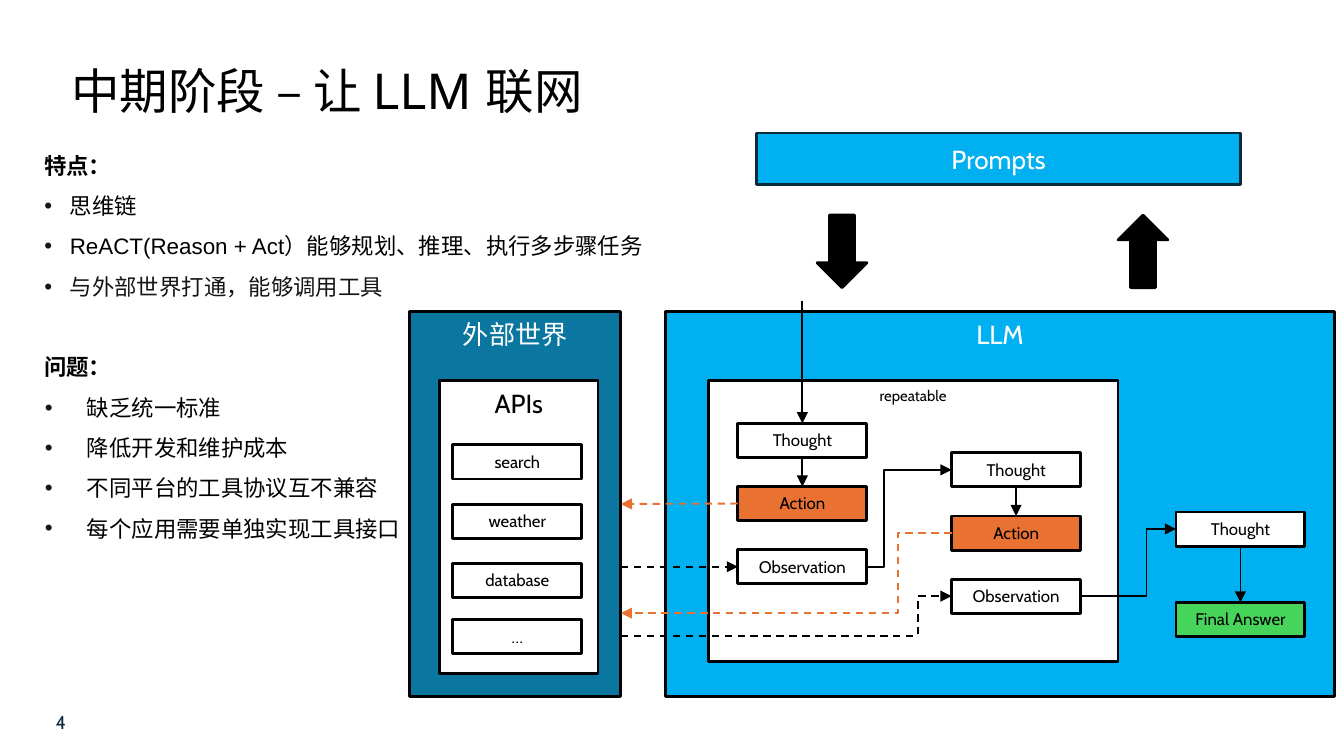
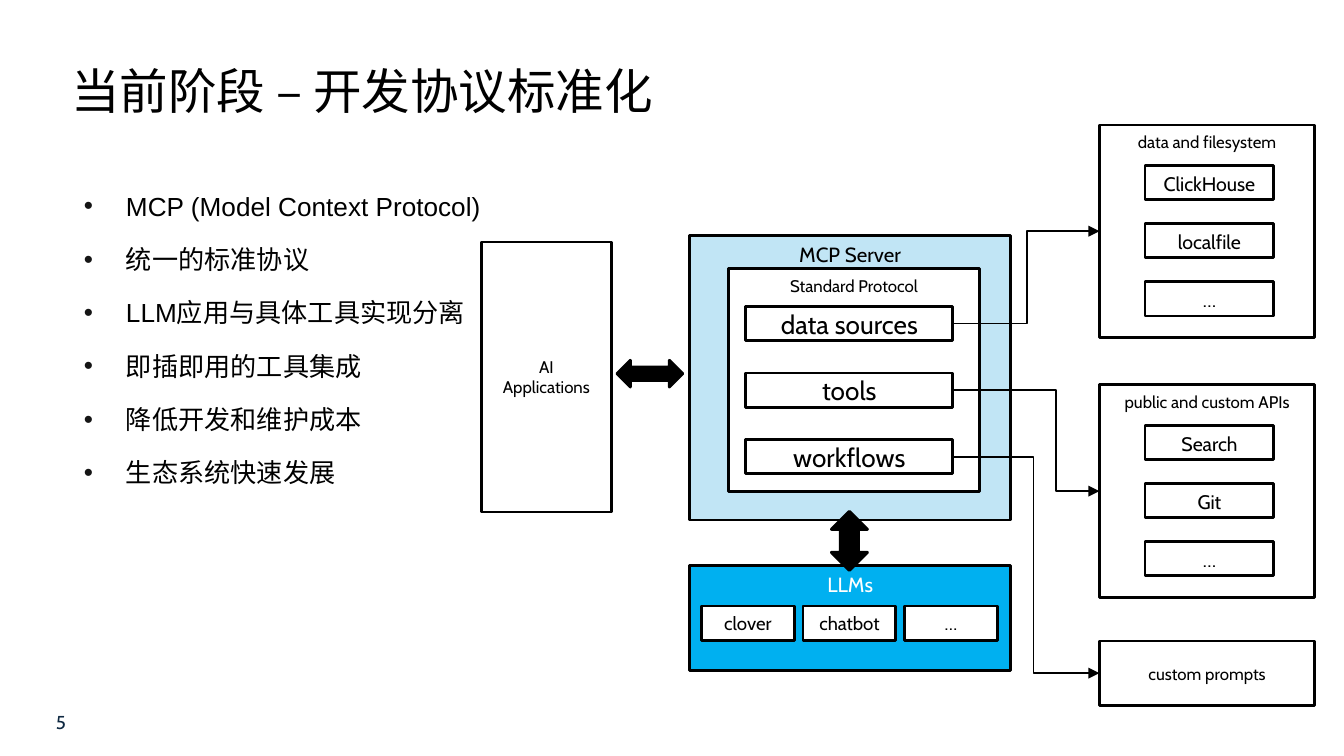
from dataclasses import dataclass
from typing import Any, NamedTuple

from lxml import etree
from pptx import Presentation
from pptx.dml.color import RGBColor
from pptx.enum.dml import MSO_LINE
from pptx.enum.shapes import MSO_CONNECTOR, MSO_SHAPE
from pptx.enum.text import MSO_ANCHOR, MSO_AUTO_SIZE, PP_ALIGN
from pptx.oxml.ns import qn
from pptx.util import Pt

RECT = MSO_SHAPE.RECTANGLE
DOWN = MSO_SHAPE.DOWN_ARROW
BOTH = MSO_SHAPE.LEFT_RIGHT_ARROW
STRAIGHT, ELBOW = MSO_CONNECTOR.STRAIGHT, MSO_CONNECTOR.ELBOW
DASH = MSO_LINE.DASH
HIGH, MID = MSO_ANCHOR.TOP, MSO_ANCHOR.MIDDLE
LEFT, CENTER, RIGHT = PP_ALIGN.LEFT, PP_ALIGN.CENTER, PP_ALIGN.RIGHT
FIXED = MSO_AUTO_SIZE.NONE

BLACK, WHITE, INK = "000000", "FFFFFF", "151515"
SKY, TEAL, PALE = "00B0F0", "0B76A0", "C1E5F5"
ORANGE, GREEN, NAVY, EDGE = "E97132", "47D45A", "0E2841", "092A39"
HEAD, BODY, LABEL = "Inter", "Arial", "Cabin"
TOP, WEST, BASE, EAST = range(4)
CELL_W, CELL_H = 69.1, 18.3


@dataclass
class Box:
    x: float
    y: float
    w: float
    h: float
    text: str = ""
    size: float = 9
    fill: str = WHITE
    ink: str = BLACK
    edge: str = BLACK
    anchor: Any = HIGH
    kind: Any = RECT
    turn: float = 0


@dataclass
class Item:
    text: str
    left: float = 0
    hang: float = 0
    bold: bool = False
    ink: str = BLACK
    gap: float = 0


class Pin(NamedTuple):
    shape: Any
    side: int


class Spot(NamedTuple):
    x: float
    y: float


@dataclass
class Wire:
    start: Pin | Spot
    stop: Pin | Spot
    bend: float | None = None
    ink: str = BLACK
    dash: bool = False


def hue(code: str) -> RGBColor:
    return RGBColor.from_string(code)


def style(para: Any, size: float, face: str, ink: str, bold: bool = False) -> None:
    font = para.font
    font.size, font.name, font.bold = Pt(size), face, bold
    font.color.rgb = hue(ink)


def place(shape: Any, x: float, y: float, w: float, h: float, inset: float) -> Any:
    """Moves a text shape and returns its text frame."""
    shape.left, shape.top, shape.width, shape.height = map(Pt, (x, y, w, h))
    frame = shape.text_frame
    frame.word_wrap, frame.auto_size = True, FIXED
    frame.vertical_anchor = HIGH
    frame.margin_left = frame.margin_right = Pt(7.2)
    frame.margin_top = frame.margin_bottom = Pt(inset)
    return frame


def indent(para: Any, left: float, hang: float) -> None:
    props = para._p.get_or_add_pPr()
    props.set("marL", str(Pt(left)))
    props.set("indent", str(-Pt(hang)))
    if hang:
        tint = etree.SubElement(props, qn("a:buClr"))
        etree.SubElement(tint, qn("a:srgbClr"), val=INK)
        etree.SubElement(props, qn("a:buFont"), typeface=BODY)
        etree.SubElement(props, qn("a:buChar"), char="•")
    else:
        etree.SubElement(props, qn("a:buNone"))


def page(deck: Any, title: str, number: int) -> Any:
    """Adds a slide with its title and page number."""
    slide = deck.slides.add_slide(deck.slide_layouts[1])
    frame = place(slide.shapes.title, 24.5, 28.8, 671, 45.4, 7.2)
    frame.text = title
    para = frame.paragraphs[0]
    indent(para, 6.5, 0)
    para.alignment, para.line_spacing = LEFT, 0.9
    style(para, 26, HEAD, BLACK)
    note = slide.shapes.add_textbox(0, 0, 0, 0)
    frame = place(note, -0.7, 373.7, 43.2, 25.9, 7.2)
    frame.text = str(number)
    frame.paragraphs[0].alignment = RIGHT
    style(frame.paragraphs[0], 10, LABEL, NAVY)
    return slide


def fill_list(frame: Any, items: list[Item], size: float, pitch: float) -> None:
    frame.text = "\n".join(item.text for item in items)
    for para, item in zip(frame.paragraphs, items):
        indent(para, item.left, item.hang)
        para.alignment, para.line_spacing = LEFT, pitch
        para.space_before, para.space_after = Pt(item.gap), Pt(0)
        style(para, size, BODY, item.ink, item.bold)


def draw(slide: Any, box: Box) -> Any:
    shape = slide.shapes.add_shape(box.kind, *map(Pt, (box.x, box.y, box.w, box.h)))
    shape.shadow.inherit = False
    shape.rotation = box.turn
    shape.fill.solid()
    shape.fill.fore_color.rgb = hue(box.fill)
    shape.line.color.rgb = hue(box.edge)
    shape.line.width = Pt(1.5)
    if box.text:
        frame = shape.text_frame
        frame.word_wrap, frame.vertical_anchor = True, box.anchor
        frame.text = box.text
        frame.paragraphs[0].alignment = CENTER
        style(frame.paragraphs[0], box.size, LABEL, box.ink)
    return shape


def stack(slide: Any, x: float, y: float, step: float, names: list[str],
          size: float = 9, w: float = CELL_W, anchor: Any = HIGH) -> list[Any]:
    """Draws a column of equally spaced cells."""
    fills = {"Action": ORANGE, "Final Answer": GREEN}
    return [draw(slide, Box(x, y + i * step, w, CELL_H, name, size,
                            fills.get(name, WHITE), anchor=anchor))
            for i, name in enumerate(names)]


def locate(end: Pin | Spot) -> Spot:
    if isinstance(end, Spot):
        return end
    s = end.shape
    dx, dy = ((0.5, 0), (0, 0.5), (0.5, 1), (1, 0.5))[end.side]
    return Spot((s.left + dx * s.width) / Pt(1), (s.top + dy * s.height) / Pt(1))


def link(slide: Any, wire: Wire) -> None:
    a, b = locate(wire.start), locate(wire.stop)
    kind = STRAIGHT if wire.bend is None else ELBOW
    line = slide.shapes.add_connector(kind, *map(Pt, (*a, *b)))
    if isinstance(wire.start, Pin):
        line.begin_connect(*wire.start)
    if isinstance(wire.stop, Pin):
        line.end_connect(*wire.stop)
    line.line.color.rgb = hue(wire.ink)
    line.line.width = Pt(1)
    if wire.dash:
        line.line.dash_style = DASH
    props = line._element.spPr
    etree.SubElement(props.find(qn("a:ln")), qn("a:tailEnd"), type="triangle")
    etree.SubElement(props, qn("a:effectLst"))
    if wire.bend is not None:
        share = round((wire.bend - a.x) / (b.x - a.x) * 100000)
        guides = props.find(qn("a:prstGeom")).get_or_add_avLst()
        etree.SubElement(guides, qn("a:gd"), name="adj1", fmla=f"val {share}")


def online(deck: Any) -> None:
    slide = page(deck, "中期阶段 – 让 LLM 联网", 4)

    # Panels and block arrows
    draw(slide, Box(356.4, 167, 358.6, 206, "LLM", 14, SKY, WHITE))
    draw(slide, Box(405.4, 71.3, 259.2, 27.4, "Prompts", 14, SKY, WHITE, EDGE, MID))
    for x, turn in ((437.8, 0), (599, 180)):
        draw(slide, Box(x, 115.2, 26.6, 38.9, fill=BLACK, kind=DOWN, turn=turn))
    world = draw(slide, Box(219.6, 167, 113, 206, "外部世界", 14, TEAL, WHITE))
    draw(slide, Box(379.4, 203.8, 219.6, 150.5, "repeatable", 8))
    draw(slide, Box(235.4, 203.8, 85, 157, "APIs", 14))

    # Cells
    stack(slide, 242.6, 238.3, 31.8, ["search", "weather", "database"])
    stack(slide, 242.6, 332, 0, ["…"])
    steps = ["Thought", "Action", "Observation"]
    think, act, see = stack(slide, 395.3, 226.8, 33.85, steps)
    think2, act2, see2 = stack(slide, 509.8, 242.6, 33.85, steps)
    think3, final = stack(slide, 630, 274.3, 48.5, ["Thought", "Final Answer"])

    # Flow
    edge = 332.6
    for wire in (
        Wire(Spot(429.85, 161.3), Pin(think, TOP)),
        Wire(Pin(think, BASE), Pin(act, TOP)),
        Wire(Pin(act, WEST), Pin(world, EAST), ink=ORANGE, dash=True),
        Wire(Spot(edge, 303.65), Pin(see, WEST), dash=True),
        Wire(Pin(see, EAST), Pin(think2, WEST), 473.8),
        Wire(Pin(think2, BASE), Pin(act2, TOP)),
        Wire(Pin(act2, WEST), Spot(edge, 328.5), 481, ORANGE, True),
        Wire(Spot(edge, 340.6), Pin(see2, WEST), 491.8, dash=True),
        Wire(Pin(see2, EAST), Pin(think3, WEST), 614.2),
        Wire(Pin(think3, BASE), Pin(final, TOP)),
    ):
        link(slide, wire)

    # Traits and problems
    frame = place(slide.placeholders[1], 7.9, 70.6, 360.7, 244.8, 3.6)
    fill_list(frame, [
        Item("特点：", 8.6, bold=True),
        Item("思维链", 22.3, 13.7),
        Item("ReACT(Reason + Act）能够规划、推理、执行多步骤任务", 22.3, 13.7),
        Item("与外部世界打通，能够调用工具", 22.3, 13.7, ink=INK),
        Item("问题：", 8.6, bold=True, gap=21.6),
        Item("缺乏统一标准", 31.5, 22.5),
        Item("降低开发和维护成本", 31.5, 22.5),
        Item("不同平台的工具协议互不兼容", 31.5, 22.5),
        Item("每个应用需要单独实现工具接口", 31.5, 22.5),
    ], 12, 1.5)


def protocol(deck: Any) -> None:
    slide = page(deck, "当前阶段 – 开发协议标准化", 5)

    # Benefits
    frame = place(slide.placeholders[1], 28.8, 82.8, 336.2, 152.6, 7.2)
    lines = ["MCP (Model Context Protocol)", "统一的标准协议",
             "LLM应用与具体工具实现分离", "即插即用的工具集成",
             "降低开发和维护成本", "生态系统快速发展"]
    fill_list(frame, [Item(text, 31.5, 22.5) for text in lines], 14, 1.7)

    # Models
    draw(slide, Box(369.4, 303.1, 172.1, 56.2, "LLMs", 11, SKY, WHITE))
    for i, name in enumerate(["clover", "chatbot", "…"]):
        draw(slide, Box(375.8 + i * 54.4, 324.7, 49.7, CELL_H, name, 10, anchor=MID))

    # Server
    draw(slide, Box(369.4, 126, 172.1, 152.6, "MCP Server", 11, PALE))
    draw(slide, Box(390.2, 144, 134.6, 119.5, "Standard Protocol"))
    parts = stack(slide, 399.6, 164.2, 35.7, ["data sources", "tools", "workflows"],
                  14, 110.9, MID)
    draw(slide, Box(257.8, 129.6, 69.8, 144.7, "AI Applications", anchor=MID))
    draw(slide, Box(439.2, 280.1, 31.7, 19.4, fill=BLACK, kind=BOTH, turn=90))
    draw(slide, Box(330.5, 193, 35.3, 14.4, fill=BLACK, kind=BOTH))

    # Resources
    ends = []
    for y, name, cells in ((67, "data and filesystem", ["ClickHouse", "localfile", "…"]),
                           (206.2, "public and custom APIs", ["Search", "Git", "…"])):
        ends.append(draw(slide, Box(589, y, 115.2, 113.8, name)))
        stack(slide, 613.4, y + 21.8, 31.1, cells, 10.5)
    ends.append(draw(slide, Box(589, 343.4, 115.2, 34.6, "custom prompts", anchor=MID)))
    for part, end, bend in zip(parts, ends, (550.1, 565.9, 553.7)):
        link(slide, Wire(Pin(part, EAST), Pin(end, WEST), bend))


def main() -> None:
    deck = Presentation()
    deck.slide_width, deck.slide_height = Pt(720), Pt(405)
    online(deck)
    protocol(deck)
    deck.save("out.pptx")


if __name__ == "__main__":
    main()
